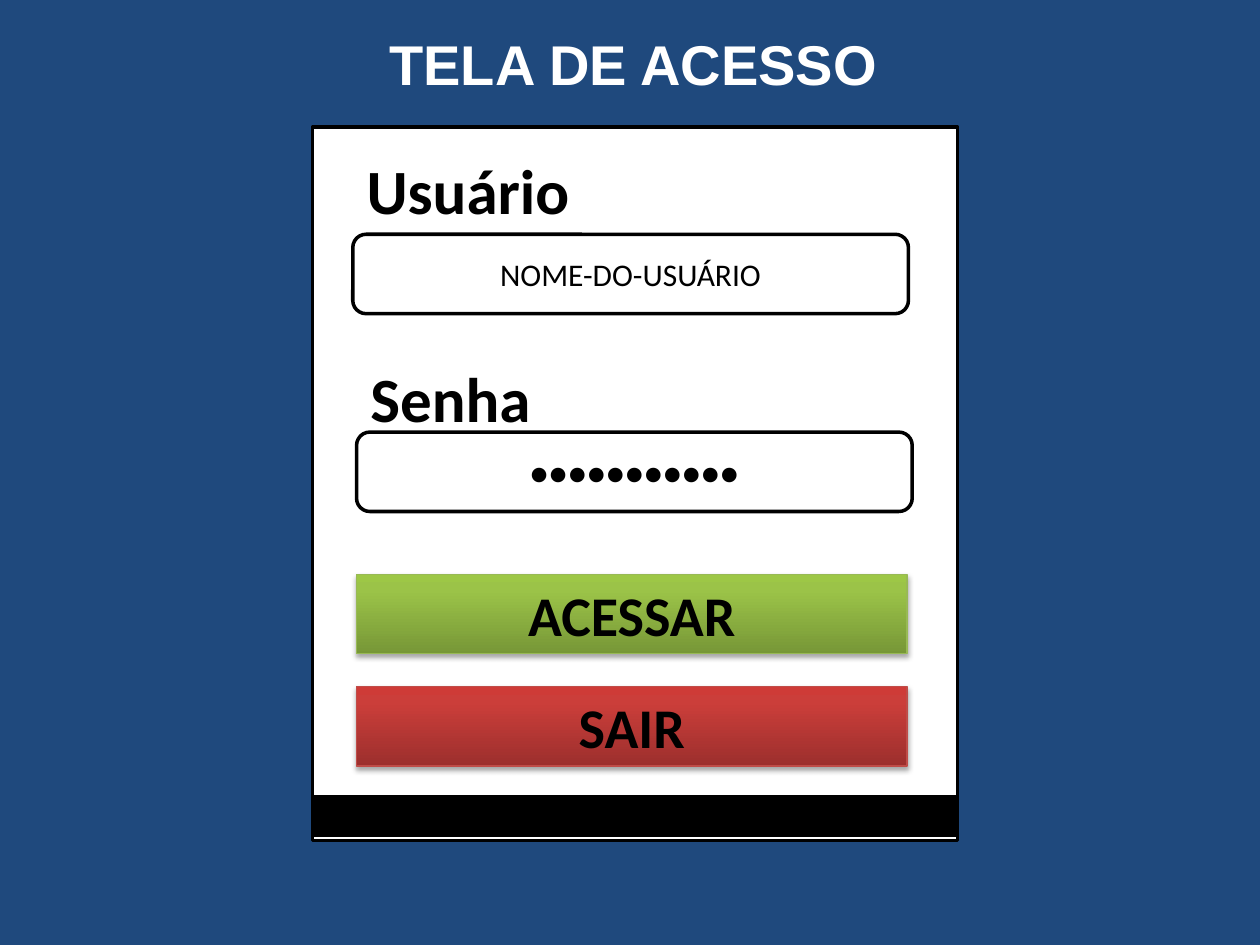
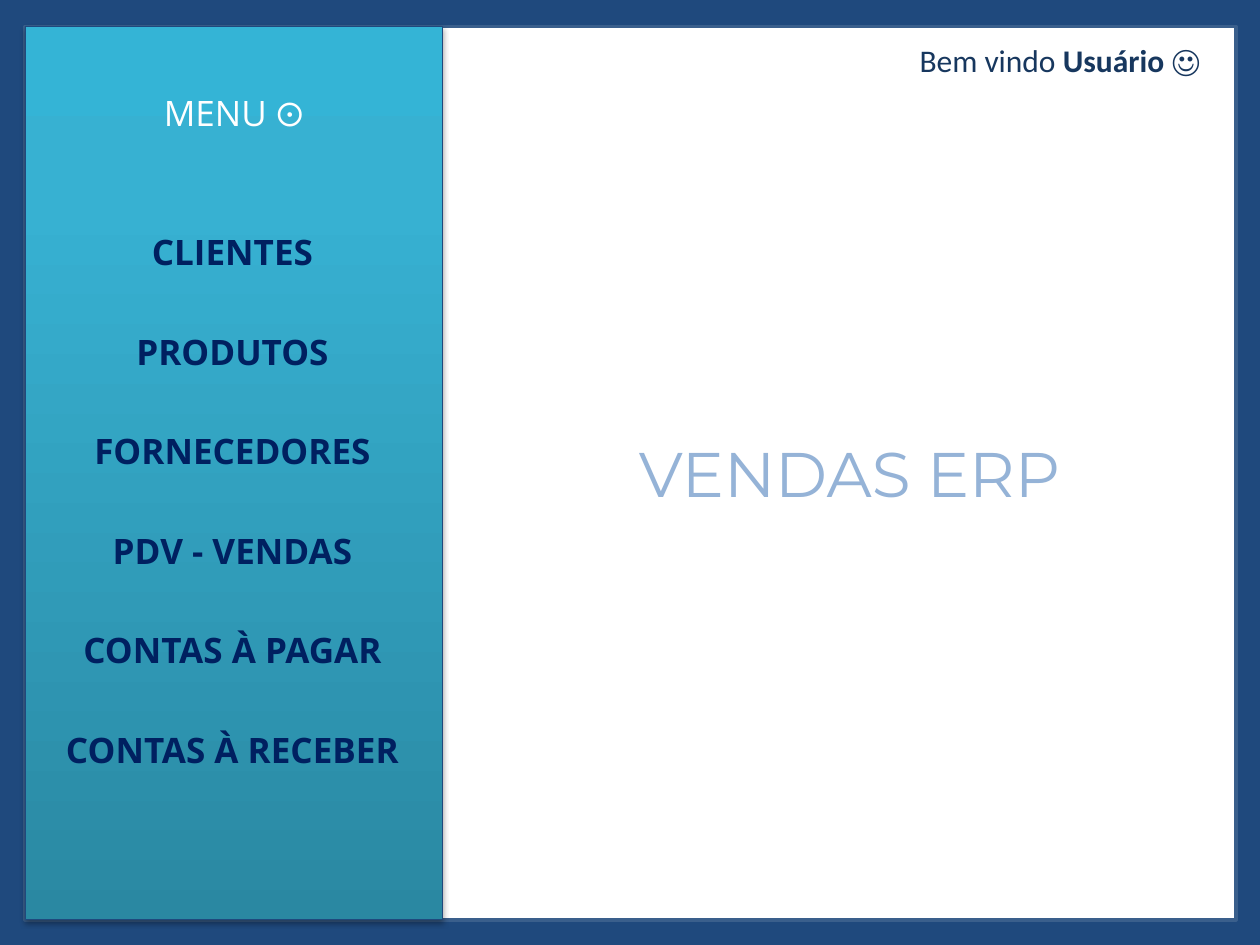
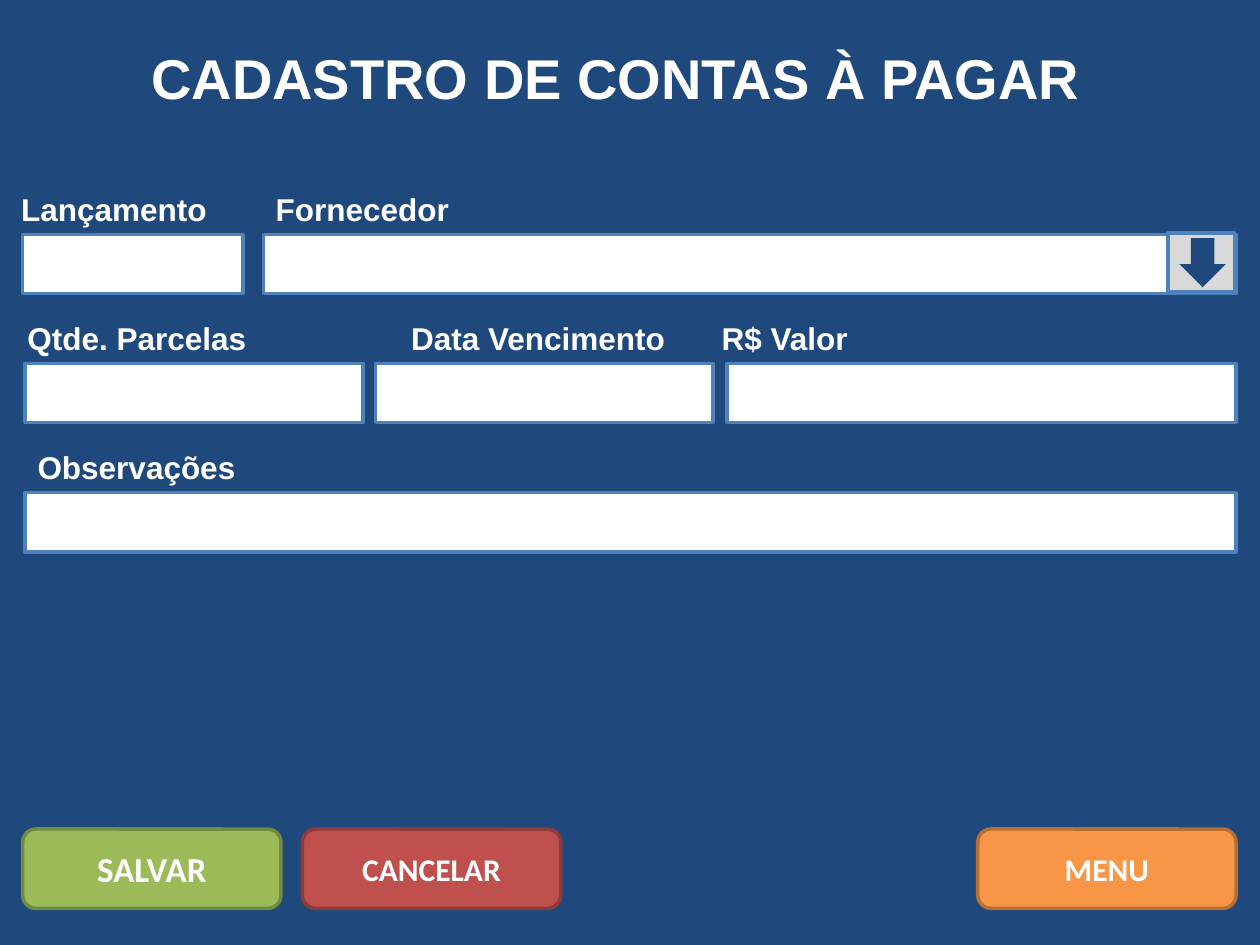
"""Build three screens of a sales system: login, main menu and bills form."""
from copy import deepcopy

from lxml import etree
from pptx import Presentation
from pptx.dml.color import RGBColor
from pptx.enum.shapes import MSO_SHAPE
from pptx.enum.text import MSO_ANCHOR, MSO_AUTO_SIZE, PP_ALIGN
from pptx.oxml.ns import qn
from pptx.util import Inches, Pt

RECTANGLE, ROUNDED, ARROW = MSO_SHAPE.RECTANGLE, MSO_SHAPE.ROUNDED_RECTANGLE, MSO_SHAPE.DOWN_ARROW
LEFT, CENTER = PP_ALIGN.LEFT, PP_ALIGN.CENTER
TOP, MIDDLE = MSO_ANCHOR.TOP, MSO_ANCHOR.MIDDLE
GROW, FIXED = MSO_AUTO_SIZE.SHAPE_TO_FIT_TEXT, MSO_AUTO_SIZE.NONE

NAVY, WHITE, BLACK = "1F497D", "FFFFFF", "000000"
FIELD_LINE, GRAY = "4F81BD", "D9D9D9"
GREEN_GRADIENT = [(0, "779737"), (0.8, "9BC348"), (1, "9DC746")]
RED_GRADIENT = [(0, "9C2F2D"), (0.8, "CB3E3A"), (1, "CE3B37")]
TEAL_GRADIENT = [(0, "2A88A2"), (0.8, "37B1D2"), (1, "34B4D6")]

TITLE = dict(name="Arial", size=32, color=WHITE, bold=True)
FIELD_LABEL = dict(TITLE, size=18)
LOGIN_TEXT = dict(name="Calibri", size=18, color=BLACK, bold=False)
LOGIN_LABEL = dict(LOGIN_TEXT, size=36, bold=True)
LOGIN_BUTTON = dict(LOGIN_TEXT, size=32, bold=True)
MENU_HEADING = dict(name="Open Sans", size=20, color=WHITE, bold=False)
MENU_ITEM = dict(MENU_HEADING, color="002060", bold=True)
SYSTEM_NAME = dict(name="Montserrat", size=36, color="95B3D7", bold=False)
WELCOME = dict(LOGIN_TEXT, color="17375E")
FORM_BUTTON = dict(LOGIN_TEXT, color=WHITE, bold=True)

LOGIN_FIELDS = [
    ("Usuário", (2.8, 1.15, 1.83, 0.71), "NOME-DO-USUÁRIO", (2.8, 1.86)),
    ("Senha", (2.83, 2.8, 1.49, 0.71), "●" * 11, (2.83, 3.43)),
]
LOGIN_BUTTONS = [("ACESSAR", GREEN_GRADIENT, "98B955"), ("SAIR", RED_GRADIENT, "BF4C48")]
MENU_ITEMS = ["CLIENTES", "PRODUTOS", "FORNECEDORES", "PDV - VENDAS",
              "CONTAS À PAGAR", "CONTAS À RECEBER"]
FORM_ROWS = [
    [("Lançamento", 0.07, 1.86, LEFT, 0.18, 1.75), ("Fornecedor", 2.09, 2.83, LEFT, 2.09, 7.72)],
    [("Qtde. Parcelas", 0.12, 2.2, LEFT, 0.2, 2.68),
     ("Data Vencimento", 2.9, 2.74, CENTER, 2.98, 2.68),
     ("R$ Valor", 5.63, 1.64, LEFT, 5.77, 4.04)],
    [("Observações", 0.2, 2.2, LEFT, 0.2, 9.61)],
]
FORM_BUTTONS = [("SALVAR", 0.18, "9BBB59", "738A42", 20),
                ("CANCELAR", 2.4, "C0504D", "8E3B39", 18),
                ("MENU", 7.76, "F79646", "B76F34", 18)]


def rgb(value):
    return RGBColor.from_string(value)


def place(shape, box):
    for name, value in zip(("left", "top", "width", "height"), box):
        setattr(shape, name, Inches(value))


def write(shape, runs, align=CENTER, anchor=TOP, auto_size=GROW, wrap=True):
    frame = shape.text_frame
    settings = dict(word_wrap=wrap, auto_size=auto_size, vertical_anchor=anchor)
    for name, value in settings.items():
        setattr(frame, name, value)
    paragraph = frame.paragraphs[0]
    paragraph.alignment = align
    for text, style in runs:
        run = paragraph.add_run()
        run.text = text
        values = dict(name=style["name"], size=Pt(style["size"]), bold=style["bold"])
        for name, value in values.items():
            setattr(run.font, name, value)
        run.font.color.rgb = rgb(style["color"])


def add_text(slide, box, runs, **options):
    write(slide.shapes.add_textbox(*map(Inches, box)), runs, **options)


def add_title(slide, box, text, style=TITLE, anchor=MIDDLE):
    title = slide.shapes.title
    place(title, box)
    write(title, [(text, style)], LEFT, anchor)
    title.element.getparent().append(title.element)
    return title


def add_block(slide, kind, box, fill, line=None, width=2, text="", style=LOGIN_TEXT):
    shape = slide.shapes.add_shape(kind, *map(Inches, box))
    shape.shadow.inherit = False
    shape.fill.solid()
    shape.fill.fore_color.rgb = rgb(fill)
    if line:
        shape.line.color.rgb = rgb(line)
        shape.line.width = Pt(width)
    else:
        shape.line.fill.background()
    if text:
        write(shape, [(text, style)], CENTER, MIDDLE, FIXED)
    return shape


def add_raised_block(slide, box, gradient, line, text="", style=LOGIN_TEXT):
    shape = add_block(slide, RECTANGLE, box, WHITE, line, 0.75, text, style)
    shape.fill.gradient()
    shape.fill.gradient_angle = 90
    stop_list = shape.element.find(".//" + qn("a:gsLst"))
    stop_list.append(deepcopy(stop_list[-1]))
    for stop, (position, color) in zip(shape.fill.gradient_stops, gradient):
        stop.position = position
        stop.color.rgb = rgb(color)
    effects = shape.element.spPr.find(qn("a:effectLst"))
    shadow = etree.SubElement(effects, qn("a:outerShdw"), blurRad=str(Pt(3.1)),
                              dist=str(Pt(1.8)), dir="5400000", rotWithShape="0")
    color = etree.SubElement(shadow, qn("a:srgbClr"), val=BLACK)
    etree.SubElement(color, qn("a:alpha"), val="35000")


def build_login(slide):
    add_title(slide, (2.99, 0.18, 4.09, 0.64), "TELA DE ACESSO")
    add_block(slide, RECTANGLE, (2.48, 1.01, 5.12, 5.66), WHITE, BLACK)
    add_block(slide, RECTANGLE, (2.48, 6.32, 5.12, 0.31), BLACK, BLACK)
    for label, label_box, value, corner in LOGIN_FIELDS:
        add_block(slide, ROUNDED, (*corner, 4.41, 0.63), WHITE, BLACK, text=value)
        add_text(slide, label_box, [(label, LOGIN_LABEL)], wrap=False)
    for index, (text, gradient, line) in enumerate(LOGIN_BUTTONS):
        box = (2.83, 4.56 + 0.89 * index, 4.37, 0.63)
        add_raised_block(slide, box, gradient, line, text, LOGIN_BUTTON)


def build_menu(slide):
    add_block(slide, RECTANGLE, (0.2, 0.21, 9.61, 7.09), WHITE, "3A5F8C")
    add_raised_block(slide, (0.2, 0.21, 3.31, 7.09), TEAL_GRADIENT, NAVY)
    add_text(slide, (0.2, 0.68, 3.31, 0.44),
             [("MENU ", MENU_HEADING), ("ⵙ", dict(LOGIN_TEXT, color=WHITE))])
    for index, item in enumerate(MENU_ITEMS):
        add_text(slide, (0.19, 1.78 + 0.79 * index, 3.31, 0.44), [(item, MENU_ITEM)])
    title = add_title(slide, (4.97, 3.4, 3.78, 0.71), "VENDAS ERP", SYSTEM_NAME, TOP)
    title.fill.solid()
    title.fill.fore_color.rgb = rgb(WHITE)
    add_text(slide, (7.2, 0.28, 2.44, 0.4),
             [("Bem vindo ", WELCOME), ("Usuário ", dict(WELCOME, bold=True)), ("☺", WELCOME)],
             align=LEFT)


def build_form(slide):
    add_title(slide, (1.1, 0.29, 7.8, 0.64), "CADASTRO DE CONTAS À PAGAR")
    for index, fields in enumerate(FORM_ROWS):
        top = 1.86 + 2.05 / 2 * index
        for label, label_left, label_width, align, left, width in fields:
            add_block(slide, RECTANGLE, (left, top, width, 0.47), WHITE, FIELD_LINE)
            add_text(slide, (label_left, top - 0.4, label_width, 0.4),
                     [(label, FIELD_LABEL)], align=align)
    add_block(slide, RECTANGLE, (9.27, 1.85, 0.53, 0.47), GRAY, FIELD_LINE)
    add_block(slide, ARROW, (9.36, 1.89, 0.37, 0.39), NAVY)
    for text, left, fill, line, size in FORM_BUTTONS:
        add_block(slide, ROUNDED, (left, 6.58, 2.05, 0.63), fill, line,
                  text=text, style=dict(FORM_BUTTON, size=size))


presentation = Presentation()
presentation.slide_width, presentation.slide_height = Inches(10), Inches(7.5)
background = presentation.slide_master.background.fill
background.solid()
background.fore_color.rgb = rgb(NAVY)
title_only = presentation.slide_layouts.get_by_name("Title Only")
for build in (build_login, build_menu, build_form):
    build(presentation.slides.add_slide(title_only))
presentation.save("out.pptx")
